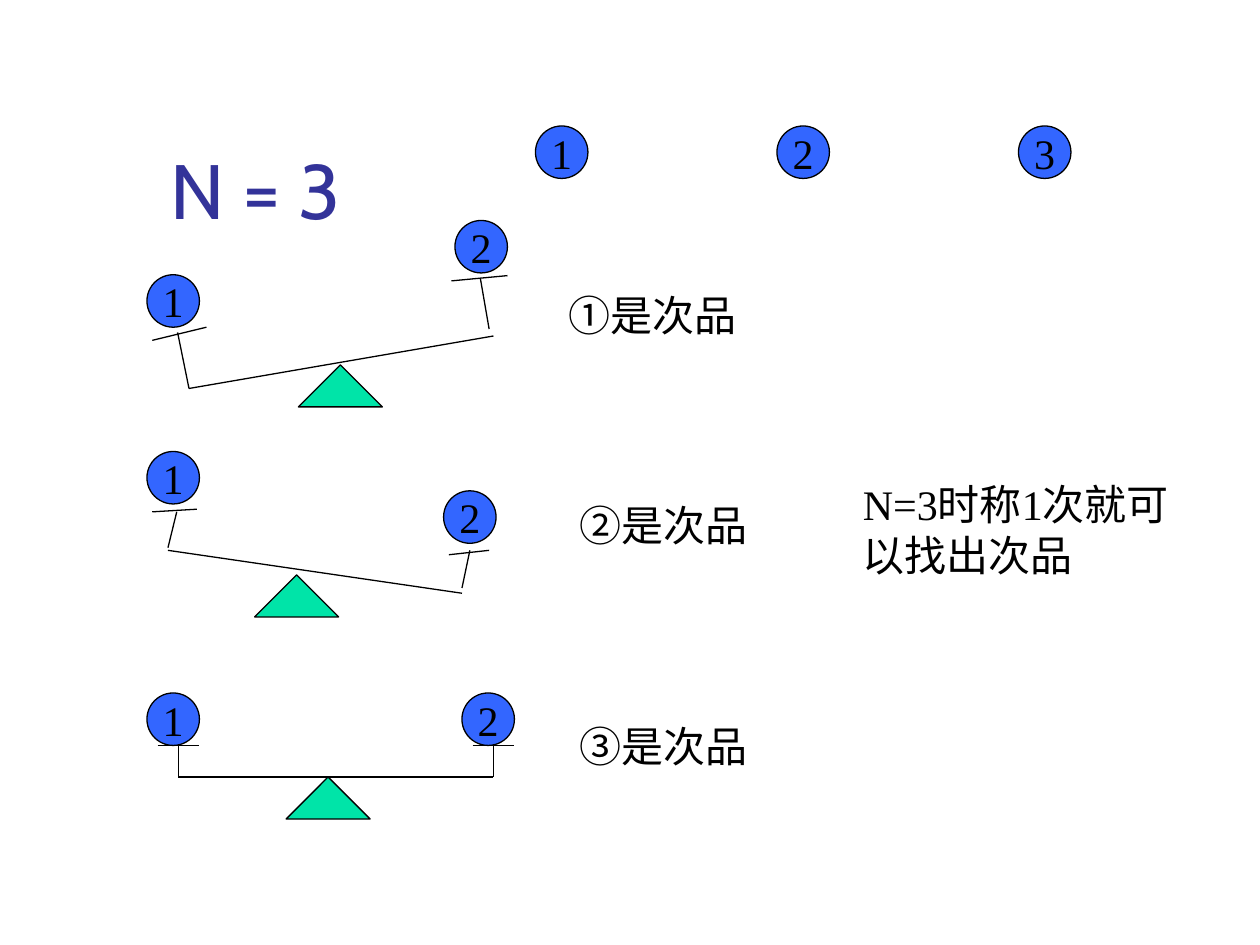
from lxml import etree
from pptx import Presentation
from pptx.dml.color import RGBColor
from pptx.enum import shapes, text
from pptx.oxml import ns
from pptx.util import Pt

# Content, all lengths in points
TITLE = ("N = 3", (90.5, 48, 613.5, 90))
CONCLUSION = ("N=3时称1次就可以找出次品", (486, 270, 192, 65))
BALL, PIVOT_W, PIVOT_H = 30, 48, 24
ROW_LEFT, ROW_TOP, ROW_STEP = 306, 72, 138
ROW_LABELS = ("1", "2", "3")

# pivot: top left corner; bars: beam, two posts, two pans; balls: top left corners
SCALES = [
    {"pivot": (170.5, 208.5),
     "bars": [(108, 222, 282, 192), (108, 222, 101.5, 190), (279.5, 188, 274.5, 159),
              (87, 194.5, 118, 187), (258, 160.5, 290, 157.5)],
     "balls": [(84, 157), (260, 126)],
     "verdict": ("①是次品", (318, 162, 216, 36))},
    {"pivot": (145.5, 328.5),
     "bars": [(96, 314.5, 264, 339), (264, 336, 268.5, 314.5), (96, 313, 101, 292.5),
              (87, 292.5, 112.5, 291), (256.5, 317, 279.5, 314.5)],
     "balls": [(84, 258), (253.5, 280.5)],
     "verdict": ("②是次品", (324, 282, 150, 36))},
    {"pivot": (163.5, 444),
     "bars": [(102, 444, 282, 444), (102, 444, 102, 426), (282, 444, 282, 426),
              (90, 426, 114, 426), (270, 426, 294, 426)],
     "balls": [(84, 396), (264, 396)],
     "verdict": ("③是次品", (324, 408, 156, 36))},
]
BLACK, BLUE, GREEN, NAVY = "000000", "3366FF", "00E4A8", "333399"


def color(hex_value):
    return RGBColor.from_string(hex_value)


def write(frame, words, size=24, font="Times New Roman", ink=BLACK,
          align=text.PP_ALIGN.LEFT):
    paragraph = frame.paragraphs[0]
    paragraph.alignment = align
    run = paragraph.add_run()
    run.text = words
    run.font.size, run.font.name = Pt(size), font
    run.font.color.rgb = color(ink)


def outline(line):
    line.color.rgb = color(BLACK)
    line.width = Pt(0.75)


def add_solid(parent, preset, box, fill):
    solid = parent.add_shape(preset, *map(Pt, box))
    solid.shadow.inherit = False
    solid.fill.solid()
    solid.fill.fore_color.rgb = color(fill)
    outline(solid.line)
    return solid


def add_ball(parent, label, left, top):
    ball = add_solid(parent, shapes.MSO_SHAPE.OVAL, (left, top, BALL, BALL), BLUE)
    ball.text_frame.word_wrap = False
    ball.text_frame.vertical_anchor = text.MSO_ANCHOR.MIDDLE
    write(ball.text_frame, label, align=text.PP_ALIGN.CENTER)


def add_bar(parent, ends):
    bar = parent.add_connector(shapes.MSO_CONNECTOR.STRAIGHT, *map(Pt, ends))
    outline(bar.line)
    etree.SubElement(bar._element.spPr, ns.qn("a:effectLst"))


def add_note(slide, words, box):
    frame = slide.shapes.add_textbox(*map(Pt, box)).text_frame
    frame.word_wrap = True
    frame.auto_size = text.MSO_AUTO_SIZE.SHAPE_TO_FIT_TEXT
    write(frame, words)


def main():
    deck = Presentation()
    deck.slide_width, deck.slide_height = Pt(720), Pt(540)
    slide = deck.slides.add_slide(deck.slide_layouts[5])

    # Title
    title = slide.shapes.title
    words, box = TITLE
    title.left, title.top, title.width, title.height = map(Pt, box)
    title.text_frame.vertical_anchor = text.MSO_ANCHOR.BOTTOM
    write(title.text_frame, words, 44, "Cabin", NAVY)

    # Row of the three balls
    row = slide.shapes.add_group_shape().shapes
    for i, label in enumerate(ROW_LABELS):
        add_ball(row, label, ROW_LEFT + i * ROW_STEP, ROW_TOP)

    # The three weighings, each with its verdict
    for scale in SCALES:
        group = slide.shapes.add_group_shape().shapes
        add_solid(group, shapes.MSO_SHAPE.ISOSCELES_TRIANGLE,
                  (*scale["pivot"], PIVOT_W, PIVOT_H), GREEN)
        for ends in scale["bars"]:
            add_bar(group, ends)
        for label, corner in zip(ROW_LABELS, scale["balls"]):
            add_ball(group, label, *corner)
        add_note(slide, *scale["verdict"])

    # Conclusion
    add_note(slide, *CONCLUSION)
    deck.save("out.pptx")


if __name__ == "__main__":
    main()
